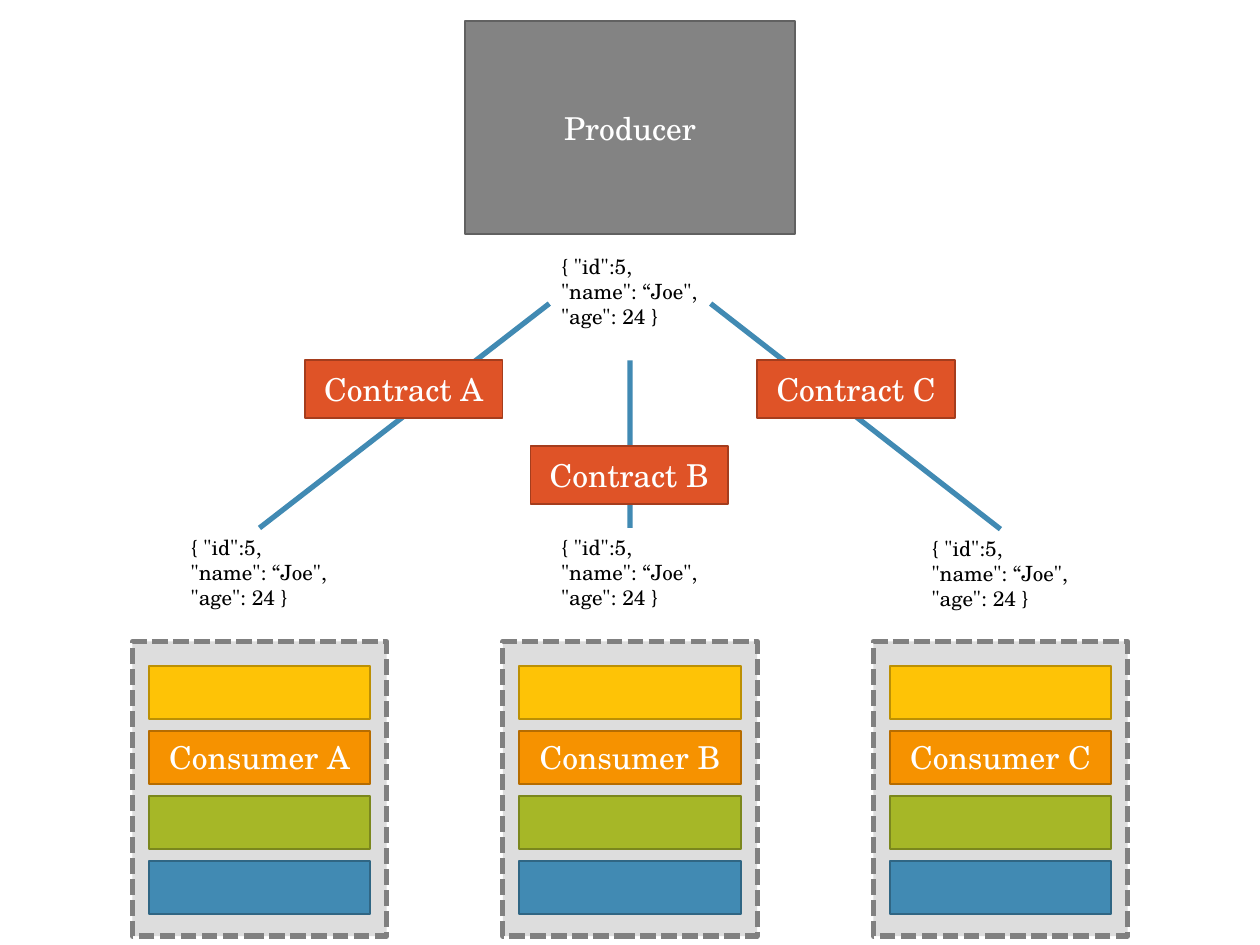
from dataclasses import dataclass

from lxml import etree
from pptx import Presentation
from pptx.dml.color import RGBColor
from pptx.enum.dml import MSO_LINE
from pptx.enum.shapes import MSO_CONNECTOR, MSO_SHAPE
from pptx.enum.text import MSO_ANCHOR, PP_ALIGN
from pptx.oxml.ns import qn
from pptx.util import Pt

RECTANGLE = MSO_SHAPE.RECTANGLE
STRAIGHT = MSO_CONNECTOR.STRAIGHT
SHORT_DASH = MSO_LINE.SQUARE_DOT
MIDDLE = MSO_ANCHOR.MIDDLE
TOP = MSO_ANCHOR.TOP
CENTER = PP_ALIGN.CENTER
LEFT = PP_ALIGN.LEFT


@dataclass(frozen=True)
class Theme:
    font: str = "TeX Gyre Schola"
    label_size: int = 18
    payload_size: int = 12
    thin: int = 1
    thick: int = 3
    white: str = "FFFFFF"
    black: str = "000000"
    link: str = "418AB3"
    producer: tuple = ("838383", "616161")
    contract: tuple = ("DF5327", "A53D1D")
    frame: tuple = ("DDDDDD", "808080")
    layers: tuple = (
        ("FEC306", "BC9004"),
        ("F69200", "B66C00"),
        ("A6B727", "7B871D"),
        ("418AB3", "306684"),
    )


@dataclass(frozen=True)
class Box:
    left: float
    top: float
    width: float
    height: float

    def lengths(self):
        return [Pt(value) for value in (self.left, self.top, self.width, self.height)]


THEME = Theme()
PAYLOAD = ('{ "id":5,', '"name": “Joe",', '"age": 24 }')
PAYLOAD_WIDTH, PAYLOAD_HEIGHT = 92.9, 65.5
CONSUMER_LEFT, CONSUMER_STEP = 75.6, 211.7
LABELED_LAYER = 1


def style_paragraph(para, size, color, alignment):
    para.alignment = alignment
    para.font.name = THEME.font
    para.font.size = Pt(size)
    para.font.color.rgb = RGBColor.from_string(color)


def add_block(page, box, colors, text="", line_width=THEME.thin):
    fill, line = colors
    block = page.shapes.add_shape(RECTANGLE, *box.lengths())
    block.shadow.inherit = False
    block.fill.solid()
    block.fill.fore_color.rgb = RGBColor.from_string(fill)
    block.line.color.rgb = RGBColor.from_string(line)
    block.line.width = Pt(line_width)
    if text:
        frame = block.text_frame
        frame.vertical_anchor = MIDDLE
        frame.text = text
        style_paragraph(frame.paragraphs[0], THEME.label_size, THEME.white, CENTER)
    return block


def add_payload(page, center, top):
    box = Box(center - PAYLOAD_WIDTH / 2, top, PAYLOAD_WIDTH, PAYLOAD_HEIGHT)
    frame = page.shapes.add_textbox(*box.lengths()).text_frame
    frame.word_wrap = False
    frame.vertical_anchor = TOP
    frame.text = "\n".join(PAYLOAD)
    for para in frame.paragraphs:
        style_paragraph(para, THEME.payload_size, THEME.black, LEFT)


def add_consumer(page, box, name):
    frame = add_block(page, box, THEME.frame, line_width=THEME.thick)
    frame.line.dash_style = SHORT_DASH
    margin, first, height, pitch = 9.36, 13.9, 30.4, 37.2
    for index, colors in enumerate(THEME.layers):
        layer = Box(
            box.left + margin,
            box.top + first + index * pitch,
            box.width - 2 * margin,
            height,
        )
        add_block(page, layer, colors, name if index == LABELED_LAYER else "")


def add_link(page, start, end):
    link = page.shapes.add_connector(STRAIGHT, *[Pt(value) for value in (*start, *end)])
    link.line.color.rgb = RGBColor.from_string(THEME.link)
    link.line.width = Pt(THEME.thick)
    etree.SubElement(link._element.spPr, qn("a:effectLst"))


def build_page(page, box):
    middle = box.left + box.width / 2
    add_block(page, Box(middle - 94.3, box.top + 12.2, 188.6, 121.7), THEME.producer, "Producer")
    add_payload(page, middle, box.top + 141.1)

    branches = (
        ("A", 301.7, (middle - 46.1, 173.5), (174.2, 205.9)),
        ("B", 301.7, (middle, 205.9), (303.1, 254.9)),
        ("C", 302.4, (middle + 46.1, 173.5), (432.7, 205.9)),
    )
    for index, (letter, payload_top, link_end, contract) in enumerate(branches):
        consumer = Box(CONSUMER_LEFT + index * CONSUMER_STEP, 366.5, 145.4, 168.5)
        center = consumer.left + consumer.width / 2
        add_consumer(page, consumer, f"Consumer {letter}")
        add_payload(page, center, payload_top)
        add_link(page, (center, payload_top), link_end)
        add_block(page, Box(*contract, 113, 33.1), THEME.contract, f"Contract {letter}")


deck = Presentation()
deck.slide_width, deck.slide_height = Pt(720), Pt(540)
blank_layout = deck.slide_layouts[6]
build_page(deck.slides.add_slide(blank_layout), Box(0, 0, 720, 540))
deck.save("out.pptx")
